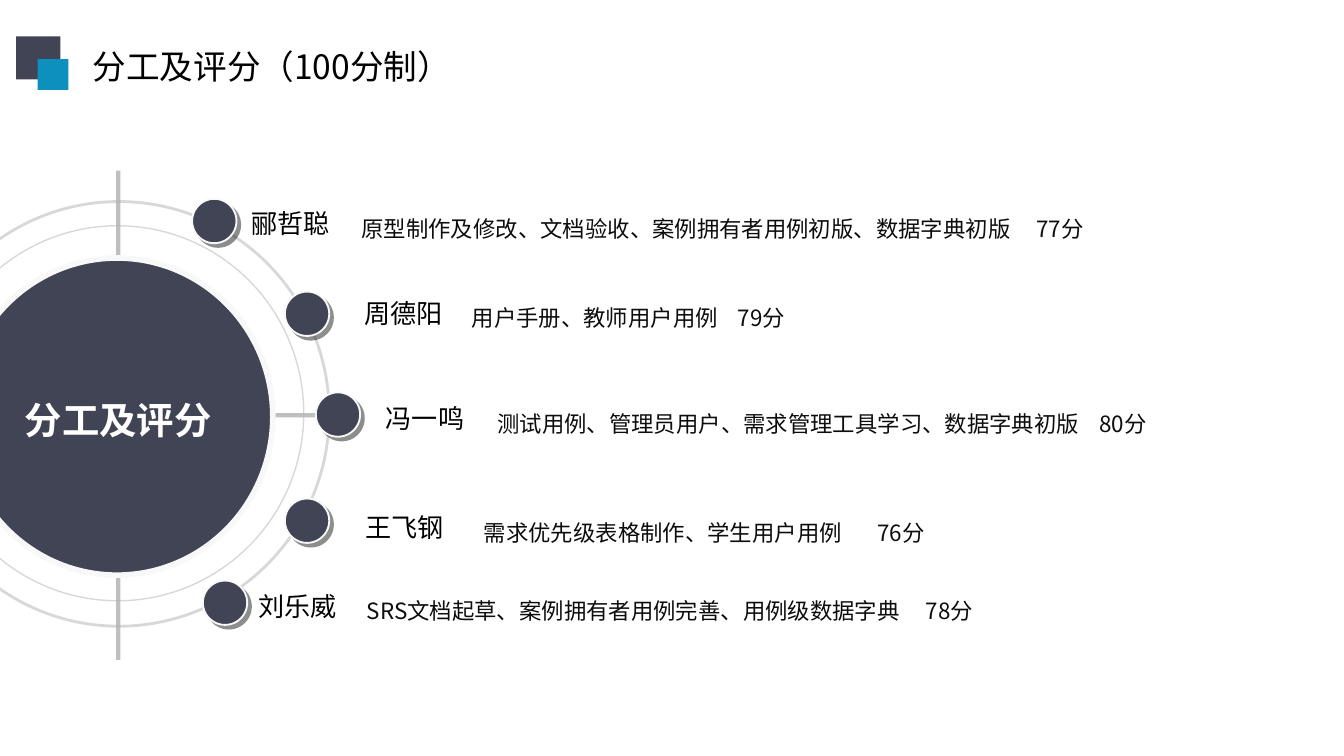
from lxml import etree
from pptx import Presentation
from pptx.dml.color import RGBColor
from pptx.enum.shapes import MSO_CONNECTOR, MSO_SHAPE
from pptx.enum.text import MSO_ANCHOR, PP_ALIGN
from pptx.oxml import parse_xml
from pptx.oxml.ns import nsdecls, qn
from pptx.util import Inches, Pt

COLORS = {"navy": "414455", "blue": "0E90BE", "halo": "F8F8F8", "ring": "B2B2B2",
          "axis": "808080", "white": "FFFFFF", "black": "000000", "ink": "0D0D0D",
          "shade": "1C1C1C"}
CJK = "Noto Sans CJK SC"

prs = Presentation()
prs.slide_width = Inches(10)
prs.slide_height = prs.slide_width * 9 // 16
slide = prs.slides.add_slide(prs.slide_layouts[5])
shapes = slide.shapes


def add_figure(kind, box, fill=None, line=None, width=1):
    figure = shapes.add_shape(kind, *map(Inches, box))
    figure.shadow.inherit = False
    if fill:
        figure.fill.solid()
        figure.fill.fore_color.rgb = RGBColor.from_string(COLORS[fill])
    else:
        figure.fill.background()
    if line:
        figure.line.color.rgb = RGBColor.from_string(COLORS[line])
        figure.line.width = Pt(width)
    else:
        figure.line.fill.background()
    return figure


def write(holder, text, size, color, font, spacing=None, tab=None, inset=None):
    frame = holder.text_frame
    frame.word_wrap = True
    if inset:
        frame.margin_left = frame.margin_right = Inches(inset)
        frame.margin_top = frame.margin_bottom = Inches(inset / 2)
    paragraph = frame.paragraphs[0]
    paragraph.add_run().text = text
    if tab:
        paragraph._p.get_or_add_pPr().append(parse_xml(
            f'<a:tabLst {nsdecls("a")}><a:tab pos="{Inches(tab)}" algn="l"/></a:tabLst>'))
    if spacing:
        paragraph.line_spacing = spacing
    paragraph.font.size = Pt(size)
    paragraph.font.name = font
    paragraph.font.color.rgb = RGBColor.from_string(COLORS[color])
    return paragraph


orbit = []
for ends in [(-0.85, 3.09, 2.61, 3.09), (0.88, 1.27, 0.88, 4.91)]:
    axis = shapes.add_connector(MSO_CONNECTOR.STRAIGHT, *map(Inches, ends))
    axis.line.color.rgb = RGBColor.from_string(COLORS["axis"])
    axis.line.width = Pt(2.25)
    etree.SubElement(axis._element.spPr, qn("a:effectLst"))
    orbit.append(axis)
for box, width in [((-0.51, 1.68, 2.77, 2.79), 0.75), ((-0.68, 1.5, 3.13, 3.16), 1.5)]:
    orbit.append(add_figure(MSO_SHAPE.OVAL, box, line="ring", width=width))
for part in orbit:
    color = part.line._ln.find(".//" + qn("a:srgbClr"))
    etree.SubElement(color, qn("a:alpha")).set("val", "50000")

add_figure(MSO_SHAPE.OVAL, (-0.29, 1.92, 2.32, 2.36), "navy", "halo", 3)
add_figure(MSO_SHAPE.OVAL, (-0.19, 2.02, 2.12, 2.17), "navy")
hub = add_figure(MSO_SHAPE.OVAL, (0.2, 2.43, 1.36, 1.39), "navy")
hub_label = write(hub, "分工及评分", 20, "white", "Arial")
hub_label.alignment = PP_ALIGN.CENTER
hub_label.font.bold = True
hub.text_frame.word_wrap = False
hub.text_frame.vertical_anchor = MSO_ANCHOR.MIDDLE

members = [
    ("郦哲聪", "原型制作及修改、文档验收、案例拥有者用例初版、数据字典初版", "77分",
     (1.43, 1.48), (1.79, 1.5), (2.61, 1.5, 5.78), 5.02),
    ("周德阳", "用户手册、教师用户用例", "79分",
     (2.12, 2.17), (2.63, 2.17), (3.43, 2.16, 3.31), 1.98),
    ("冯一鸣", "测试用例、管理员用户、需求管理工具学习、数据字典初版", "80分",
     (2.35, 2.92), (2.79, 2.95), (3.62, 2.95, 5.01), 4.48),
    ("王飞钢", "需求优先级表格制作、学生用户用例", "76分",
     (2.12, 3.71), (2.64, 3.76), (3.52, 3.76, 3.51), 2.93),
    ("刘乐威", "SRS文档起草、案例拥有者用例完善、用例级数据字典", "78分",
     (1.51, 4.32), (1.84, 4.35), (2.65, 4.34, 4.79), 4.16),
]
for member, tasks, score, (x, y), name_at, (left, top, width), tab in members:
    node = add_figure(MSO_SHAPE.OVAL, (x, y, 0.33, 0.33), "navy", "halo", 1)
    node._element.spPr.find(qn("a:effectLst")).append(parse_xml(
        f'<a:outerShdw {nsdecls("a")} blurRad="0" dist="{Pt(2.8)}" dir="2700000" algn="ctr" '
        f'rotWithShape="0"><a:srgbClr val="{COLORS["shade"]}"><a:alpha val="50000"/>'
        '</a:srgbClr></a:outerShdw>'))
    add_figure(MSO_SHAPE.OVAL, (x + 0.03, y + 0.03, 0.28, 0.28), "navy")

    member_name = shapes.add_textbox(*map(Inches, (*name_at, 2.03, 0.32)))
    write(member_name, member, 14, "black", "Arial", inset=0.08)
    member_name.text_frame.vertical_anchor = MSO_ANCHOR.MIDDLE

    duties = shapes.add_textbox(*map(Inches, (left, top, width, 0.32)))
    write(duties, f"{tasks}\t{score}", 12, "ink", CJK, 1.3, tab, 0.08)

title = shapes.title
title.left, title.top, title.width, title.height = map(Inches, (0.59, 0.29, 2.92, 0.4))
title_line = write(title, "分工及评分（100分制）", 18, "black", CJK)
title_line.alignment = PP_ALIGN.LEFT
title.text_frame.vertical_anchor = MSO_ANCHOR.TOP

add_figure(MSO_SHAPE.RECTANGLE, (0.12, 0.27, 0.33, 0.32), "navy")
add_figure(MSO_SHAPE.RECTANGLE, (0.28, 0.44, 0.23, 0.23), "blue")

prs.save("out.pptx")
